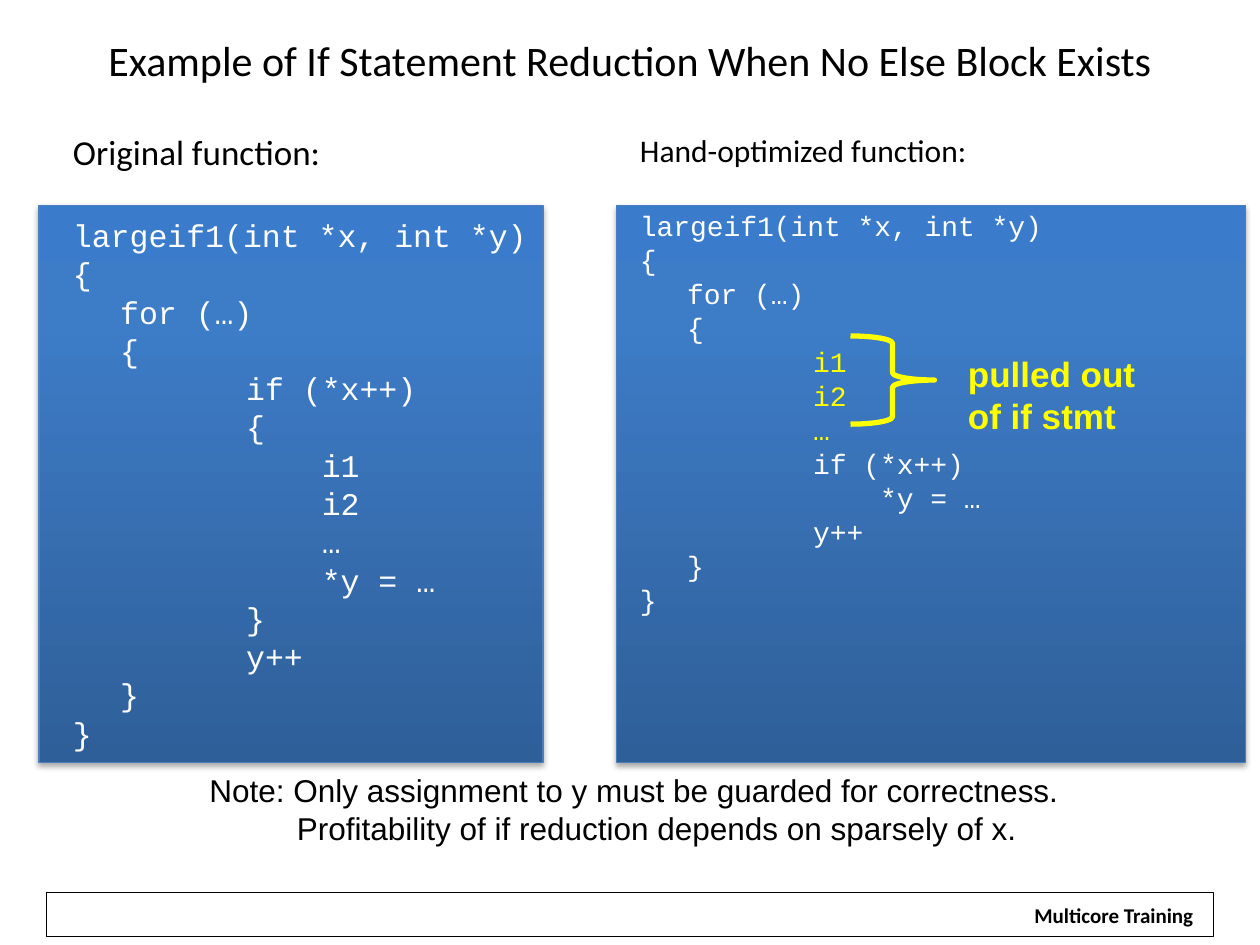
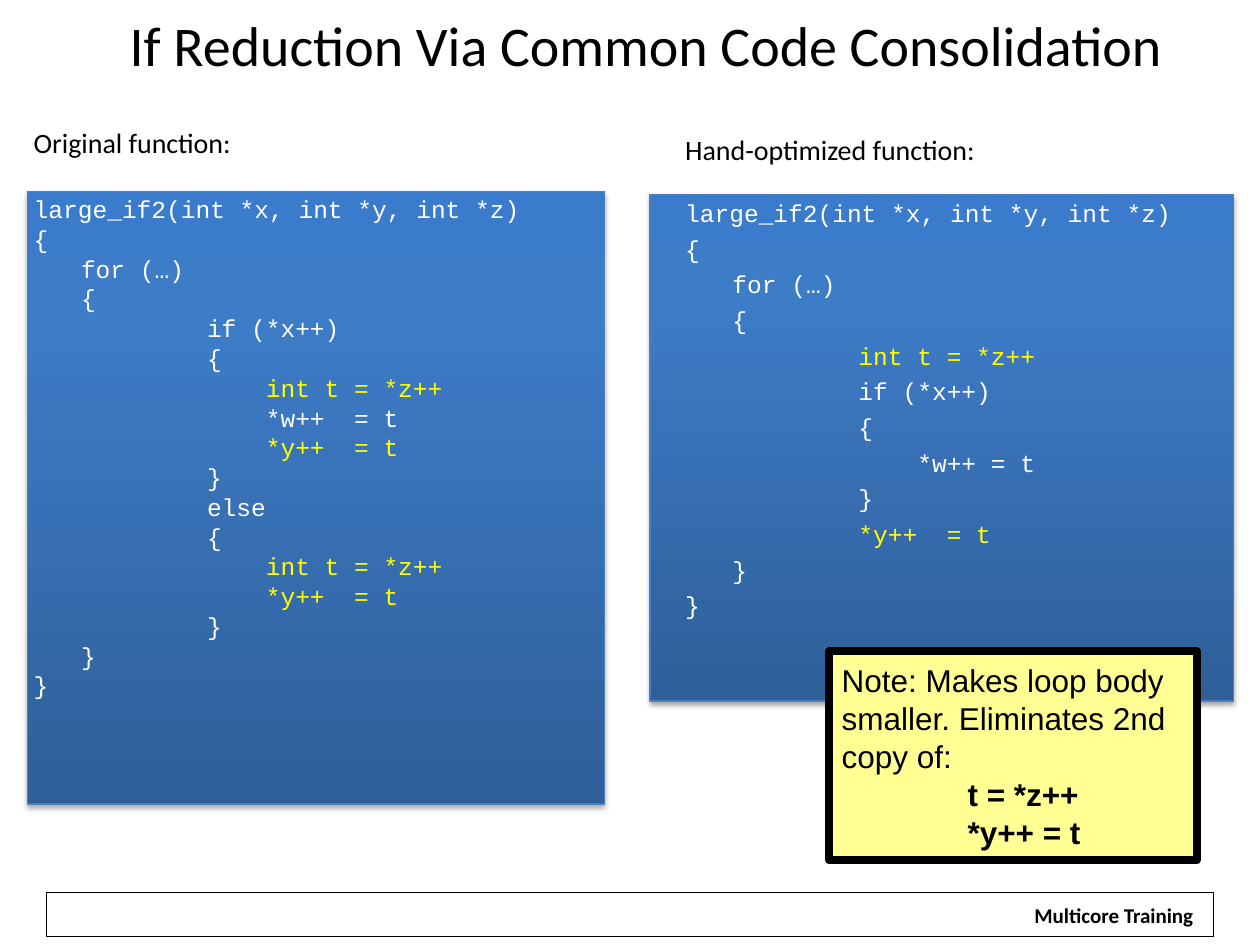
from copy import deepcopy

from lxml import etree
from pptx import Presentation
from pptx.dml.color import RGBColor
from pptx.enum.shapes import MSO_SHAPE
from pptx.enum.text import MSO_ANCHOR, PP_ALIGN
from pptx.oxml.ns import qn
from pptx.util import Pt

RECTANGLE, RIGHT_BRACE = MSO_SHAPE.RECTANGLE, MSO_SHAPE.RIGHT_BRACE
MIDDLE = MSO_ANCHOR.MIDDLE
LEFT, CENTER = PP_ALIGN.LEFT, PP_ALIGN.CENTER

BLACK = RGBColor(0x00, 0x00, 0x00)
WHITE = RGBColor(0xFF, 0xFF, 0xFF)
YELLOW = RGBColor(0xFF, 0xFF, 0x00)
NOTE_YELLOW = RGBColor(0xFF, 0xFF, 0x93)
PANEL_LINE = RGBColor(0x4B, 0x7E, 0xBC)
PANEL_GRADIENT = [
    (0, RGBColor(0x2F, 0x5F, 0x99)),
    (0.8, RGBColor(0x3D, 0x7C, 0xC7)),
    (1, RGBColor(0x3A, 0x7C, 0xCB)),
]

HEADING = {"name": "Calibri", "color": BLACK}
CODE = {"name": "Courier New", "color": WHITE}
NOTE = {"name": "Arial", "size": 18, "color": BLACK}
CALLOUT = {"name": "Arial", "size": 20, "color": YELLOW, "bold": True}
FOOTER = {"name": "Calibri", "size": 12, "color": BLACK, "bold": True}

CODE_INDENT = 27
TAB_WIDTH = 72
CODE_SPACING = 0.255  # space before a line, as a share of its text size


def add_run(paragraph, text, text_format):
    run = paragraph.add_run()
    run.text = text
    for key, value in text_format.items():
        if key == "color":
            run.font.color.rgb = value
        else:
            setattr(run.font, key, Pt(value) if key == "size" else value)


def next_paragraph(frame):
    first = frame.paragraphs[0]
    return frame.add_paragraph() if first.runs else first


def set_indent(paragraph, left, first_line=0):
    properties = paragraph._p.get_or_add_pPr()
    values = {"marL": left, "indent": first_line, "defTabSz": TAB_WIDTH}
    for key, value in values.items():
        properties.set(key, str(Pt(value)))


def add_text_box(slide, box):
    frame = slide.shapes.add_textbox(*map(Pt, box)).text_frame
    frame.word_wrap = True
    return frame


def add_lines(frame, lines, align=LEFT):
    """Write (text, format, left indent) lines, one paragraph each."""
    for text, text_format, indent in lines:
        paragraph = next_paragraph(frame)
        paragraph.alignment = align
        if indent:
            set_indent(paragraph, indent)
        add_run(paragraph, text, text_format)


def add_plain_shape(slide, kind, box, fill=None, line=None, line_width=0.75):
    shape = slide.shapes.add_shape(kind, *map(Pt, box))
    shape.shadow.inherit = False
    for target, color in ((shape.fill, fill), (shape.line.fill, line)):
        if color is None:
            target.background()
        else:
            target.solid()
            target.fore_color.rgb = color
    if line is not None:
        shape.line.width = Pt(line_width)
    return shape


def add_footer(slide):
    add_plain_shape(slide, RECTANGLE, (26.6, 510, 666.8, 25), line=BLACK)
    label = add_plain_shape(slide, RECTANGLE, (583.2, 512, 106.6, 21.6), fill=WHITE)
    label.text_frame.word_wrap = False
    add_lines(label.text_frame, [("Multicore Training", FOOTER, 0)], CENTER)


def add_title(slide, box, text, size):
    frame = add_text_box(slide, box)
    frame.vertical_anchor = MIDDLE
    add_lines(frame, [(text, {**HEADING, "size": size}, 0)], CENTER)


def add_panel(slide, box):
    """Blue gradient rectangle with a soft shadow below it."""
    panel = add_plain_shape(slide, RECTANGLE, box, line=PANEL_LINE)
    panel.fill.gradient()
    panel.fill.gradient_angle = 90
    stop_list = panel._element.spPr.find(qn("a:gradFill")).find(qn("a:gsLst"))
    stop_list.append(deepcopy(stop_list[0]))
    for stop, (position, color) in zip(panel.fill.gradient_stops, PANEL_GRADIENT):
        stop.position = position
        stop.color.rgb = color
    effects = panel._element.spPr.find(qn("a:effectLst"))
    shadow = etree.SubElement(
        effects, qn("a:outerShdw"), blurRad=str(Pt(3.1)), dist=str(Pt(1.8)),
        dir="5400000", rotWithShape="0")
    color = etree.SubElement(shadow, qn("a:srgbClr"), val=str(BLACK))
    etree.SubElement(color, qn("a:alpha"), val="35000")


def add_listing(slide, panel_box, text_box, heading, heading_size, code_gap, code,
                highlighted=(), line_spacing=0.8):
    """Heading above a panel of code, whose highlighted lines are yellow."""
    add_panel(slide, panel_box)
    frame = add_text_box(slide, text_box)
    code_size = heading_size - 2
    title = next_paragraph(frame)
    title.line_spacing = line_spacing
    set_indent(title, CODE_INDENT, -CODE_INDENT)
    add_run(title, heading, {**HEADING, "size": heading_size})
    for index, line in enumerate(code):
        paragraph = next_paragraph(frame)
        set_indent(paragraph, CODE_INDENT, -CODE_INDENT)
        paragraph.line_spacing = line_spacing
        paragraph.space_before = Pt(code_size * CODE_SPACING if index else code_gap)
        color = YELLOW if line.strip() in highlighted else WHITE
        add_run(paragraph, line, {**CODE, "size": code_size, "color": color})


def add_callout(slide, left, top):
    """Brace beside the moved lines, with its label to the right."""
    brace = add_plain_shape(slide, RIGHT_BRACE, (left, top, 48, 50.4),
                            line=YELLOW, line_width=3)
    brace.adjustments[0] = 0.088
    brace.adjustments[1] = 0.5
    frame = add_text_box(slide, (left + 60, top + 6, 115, 55.4))
    add_lines(frame, [("pulled out", CALLOUT, 0), ("of if stmt", CALLOUT, 0)])


def add_note_box(slide, box):
    note = add_plain_shape(slide, RECTANGLE, box, NOTE_YELLOW, BLACK, 4.5)
    bold = {**NOTE, "bold": True}
    add_lines(note.text_frame, [
        ("Note: Makes loop body smaller. Eliminates 2nd copy of:", NOTE, 0),
        ("t = *z++", bold, TAB_WIDTH),
        ("*y++ = t", bold, TAB_WIDTH),
    ])
    note.text_frame.word_wrap = True


def build_no_else_slide(slide):
    add_footer(slide)
    add_title(slide, (36, 0, 648, 68.4),
              "Example of If Statement Reduction When No Else Block Exists", 24)
    start = ["largeif1(int *x, int *y)", "{", "\tfor (…)", "\t{"]
    end = ["\t\ty++", "\t}", "}"]
    add_listing(
        slide, (22.3, 117.4, 288, 318.2), (34.6, 75.6, 318, 356.4),
        "Original function:", 20, 29.2,
        start + ["\t\tif (*x++)", "\t\t{", "\t\t    i1", "\t\t    i2", "\t\t    …",
                 "\t\t    *y = …", "\t\t}"] + end)
    add_listing(
        slide, (352.5, 117.4, 359.3, 318.2), (358.6, 75.6, 318, 356.4),
        "Hand-optimized function:", 18, 26.3,
        start + ["\t\ti1", "\t\ti2", "\t\t…", "\t\tif (*x++)", "\t\t    *y = …"] + end,
        highlighted={"i1", "i2", "…"})
    add_lines(add_text_box(slide, (112.6, 437, 500, 50.4)), [
        ("Note: Only assignment to y must be guarded for correctness.", NOTE, 0),
        ("Profitability of if reduction depends on sparsely of x.", NOTE, 50),
    ])
    add_callout(slide, 486, 192)


def build_consolidation_slide(slide):
    add_footer(slide)
    add_title(slide, (31, 0, 676.8, 50.4),
              "If Reduction Via Common Code Consolidation", 32)
    start = ["large_if2(int *x, int *y, int *z)", "{", "\tfor (…)", "\t{"]
    end = ["\t}", "}"]
    common_code = {"int t = *z++", "*y++  = t"}
    add_listing(
        slide, (15.8, 109.4, 329.8, 350), (12.2, 72, 339, 432),
        "Original function:", 16, 23.3,
        start + ["\t\tif (*x++)", "\t\t{", "\t\t    int t = *z++", "\t\t    *w++  = t",
                 "\t\t    *y++  = t", "\t\t}", "\t\telse", "\t\t{",
                 "\t\t    int t = *z++", "\t\t    *y++  = t", "\t\t}"] + end,
        highlighted=common_code)
    add_listing(
        slide, (371.5, 111.3, 333.4, 289.4), (384.5, 72, 335.5, 329.8),
        "Hand-optimized function:", 16, 18.4,
        start + ["\t\tint t = *z++", "\t\tif (*x++)", "\t\t{", "\t\t    *w++ = t",
                 "\t\t}", "\t\t*y++  = t"] + end,
        highlighted=common_code, line_spacing=1.0)
    add_note_box(slide, (473.8, 372.2, 210.2, 119.5))


def main():
    presentation = Presentation()
    presentation.slide_width, presentation.slide_height = Pt(720), Pt(540)
    blank = presentation.slide_layouts[6]
    for build in (build_no_else_slide, build_consolidation_slide):
        build(presentation.slides.add_slide(blank))
    presentation.save("out.pptx")


if __name__ == "__main__":
    main()
